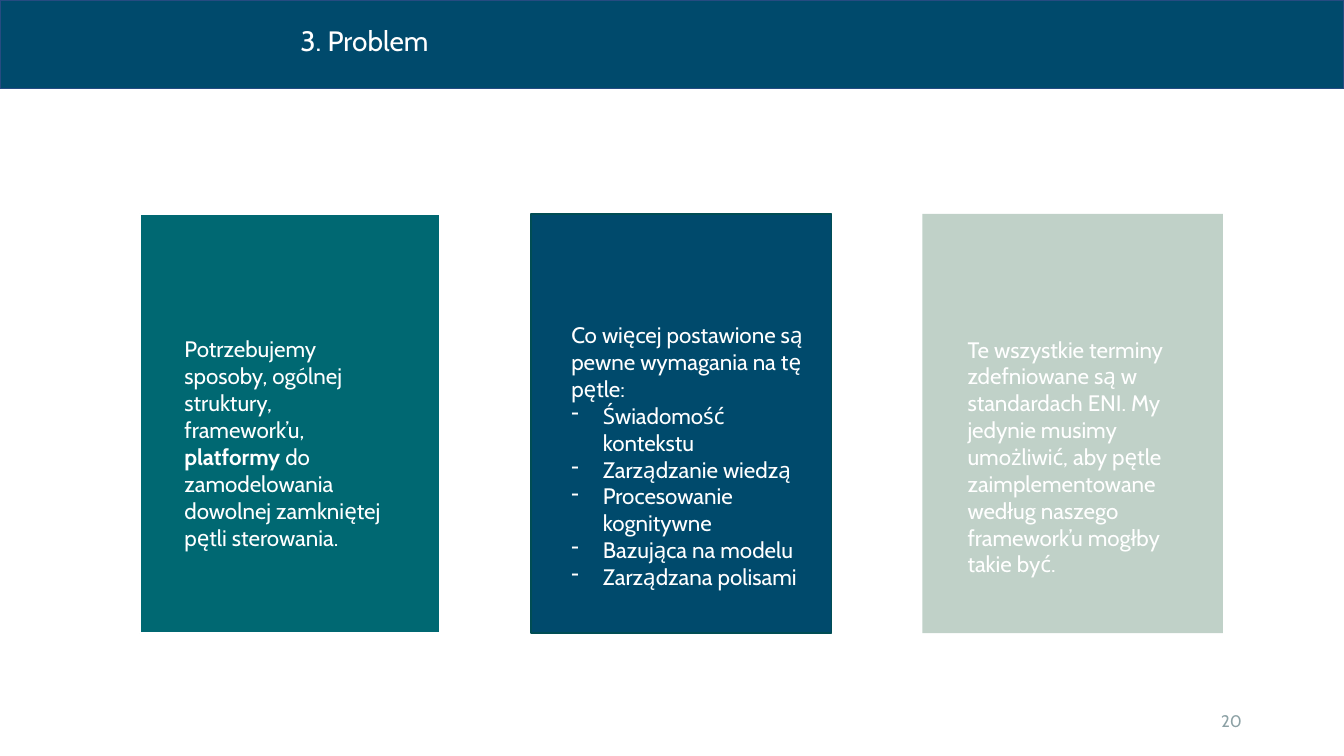
"""Build the "3. Problem" slide: a title band, three coloured panels and a page number."""
from dataclasses import dataclass

from lxml.etree import SubElement
from pptx import Presentation
from pptx.dml.color import RGBColor
from pptx.enum.shapes import MSO_SHAPE
from pptx.enum.text import MSO_ANCHOR, PP_ALIGN
from pptx.oxml.ns import qn
from pptx.util import Pt


@dataclass(frozen=True)
class Theme:
    font: str = "Cabin"
    white: str = "FFFFFF"
    teal: str = "006872"
    navy: str = "004A6C"
    sage: str = "C0D1C8"
    navy_edge: str = "004D54"
    band_edge: str = "264B81"
    page_grey: str = "8CA1A5"
    title_size: int = 20
    body_size: int = 16
    page_size: int = 12


theme = Theme()
presentation = Presentation()
presentation.slide_width = Pt(960)
presentation.slide_height = Pt(540)
slide = presentation.slides.add_slide(presentation.slide_layouts[6])


def add_rectangle(left, top, width, height, fill, edge=None, edge_width=1):
    shape = slide.shapes.add_shape(
        MSO_SHAPE.RECTANGLE, Pt(left), Pt(top), Pt(width), Pt(height))
    shape.shadow.inherit = False
    shape.fill.solid()
    shape.fill.fore_color.rgb = RGBColor.from_string(fill)
    if edge:
        shape.line.color.rgb = RGBColor.from_string(edge)
        shape.line.width = Pt(edge_width)
    else:
        shape.line.fill.background()


def add_text(left, top, width, height, paragraphs, size=theme.body_size, color=theme.white):
    text_frame = slide.shapes.add_textbox(
        Pt(left), Pt(top), Pt(width), Pt(height)).text_frame
    text_frame.word_wrap = True
    for index, runs in enumerate(paragraphs):
        paragraph = text_frame.add_paragraph() if index else text_frame.paragraphs[0]
        for text, bold in runs:
            run = paragraph.add_run()
            run.text = text
            run.font.name = theme.font
            run.font.size = Pt(size)
            run.font.bold = bold
            run.font.color.rgb = RGBColor.from_string(color)
    return text_frame


panel_left, panel_top, panel_width, panel_height, panel_pitch = 100, 152.8, 214.7, 299.5, 279.4
panel_styles = [
    (theme.teal, theme.white, 1.5),
    (theme.navy, theme.navy_edge, 1),
    (theme.sage, None, 0),
]
for column, (fill, edge, edge_width) in enumerate(panel_styles):
    add_rectangle(panel_left + column * panel_pitch, panel_top,
                  panel_width, panel_height, fill, edge, edge_width)

add_text(124.6, 236.2, 164.2, 162.7, [
    [("Potrzebujemy sposoby, ogólnej struktury, framework’u,", False)],
    [("platformy ", True), ("do zamodelowania dowolnej zamkniętej pętli sterowania.", False)],
])

requirements = [
    "Świadomość kontekstu",
    "Zarządzanie wiedzą",
    "Procesowanie kognitywne",
    "Bazująca na modelu",
    "Zarządzana polisami",
]
requirements_frame = add_text(401, 226, 180.7, 200.9, [
    [("Co więcej postawione są pewne wymagania na tę pętle:", False)],
    *[[(requirement, False)] for requirement in requirements],
])
for paragraph in requirements_frame.paragraphs[1:]:
    properties = paragraph._p.get_or_add_pPr()
    properties.set("marL", str(Pt(22.5)))
    properties.set("indent", str(-Pt(22.5)))
    SubElement(properties, qn("a:buChar")).set("char", "-")

add_text(684, 236.2, 164.2, 181.4, [
    [("Te wszystkie terminy zdefniowane są w standardach ENI. My jedynie musimy umożliwić, "
      "aby pętle zaimplementowane według naszego framework’u mogłby takie być.", False)],
])

add_rectangle(0, 0, 960, 63.2, theme.navy, theme.band_edge)
add_text(207.4, 13, 448.6, 31.7, [[("3. Problem", False)]], theme.title_size)

page_frame = add_text(678.2, 500.5, 216, 28.8, [[("20", False)]],
                      theme.page_size, theme.page_grey)
page_frame.vertical_anchor = MSO_ANCHOR.MIDDLE
page_frame.paragraphs[0].alignment = PP_ALIGN.RIGHT

presentation.save("out.pptx")
